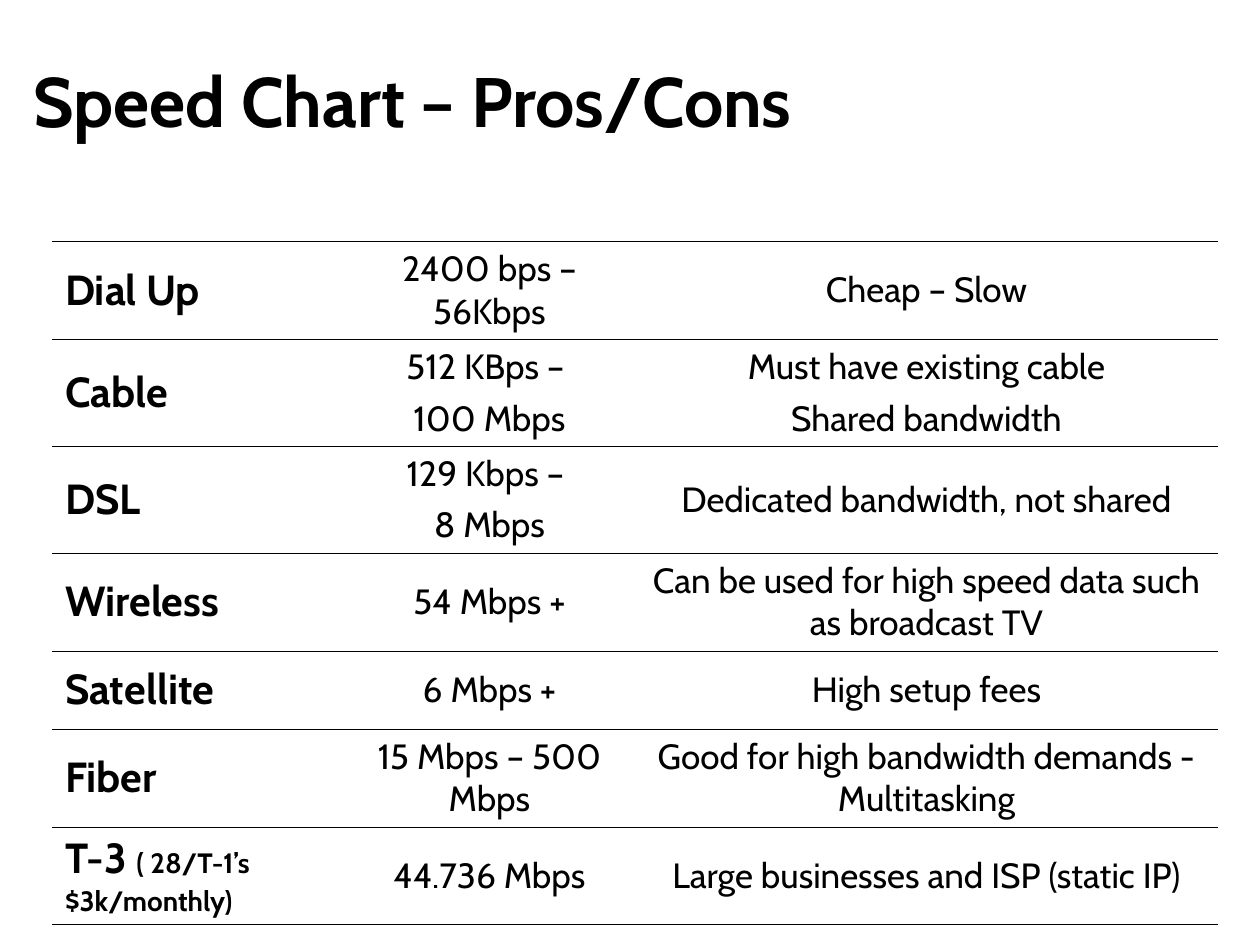
"""Build the slide that compares internet connection speeds, pros and cons."""
from lxml.etree import SubElement
from pptx import Presentation
from pptx.dml.color import RGBColor
from pptx.enum.text import MSO_ANCHOR, PP_ALIGN
from pptx.oxml import parse_xml
from pptx.oxml.ns import nsdecls, qn
from pptx.util import Pt

BLACK = RGBColor(0, 0, 0)
WHITE = RGBColor(255, 255, 255)
FONT = "Cabin"
RULE_WIDTH = Pt(0.23)

CONNECTIONS = [
    ("Dial Up", "2400 bps – 56Kbps", "Cheap – Slow"),
    ("Cable", "512 KBps – \n100 Mbps", "Must have existing cable\nShared bandwidth"),
    ("DSL", "129 Kbps – \n8 Mbps", "Dedicated bandwidth, not shared"),
    ("Wireless", "54 Mbps +", "Can be used for high speed data such as broadcast TV"),
    ("Satellite", "6 Mbps +", "High setup fees"),
    ("Fiber", "15 Mbps – 500 Mbps", "Good for high bandwidth demands - Multitasking"),
    ("T-3 |( 28/T-1’s $3k/monthly)", "44.736 Mbps", "Large businesses and ISP (static IP)"),
]
ROW_HEIGHTS = [55.8, 60.8, 60.8, 55.8, 44.6, 55.8, 55.8]
COLUMN_WIDTHS = [166.5, 166.5, 333]
COLUMN_FORMATS = [
    ({"bold": True}, (24, 16), PP_ALIGN.LEFT),
    ({"bold": False}, (20,), PP_ALIGN.CENTER),
    ({"bold": False}, (20,), PP_ALIGN.CENTER),
]


def add_run(paragraph, text, size, **formats):
    run = paragraph.add_run()
    run.text = text
    for name, value in {"name": FONT, "size": Pt(size), **formats}.items():
        setattr(run.font, name, value)
    run.font.color.rgb = BLACK


def style_cell(cell):
    cell.vertical_anchor = MSO_ANCHOR.MIDDLE
    cell.margin_left = cell.margin_right = Pt(7.2)
    cell.margin_top = cell.margin_bottom = Pt(3.6)
    cell.fill.solid()
    cell.fill.fore_color.rgb = WHITE
    properties = cell._tc.get_or_add_tcPr()
    SubElement(properties.find(".//" + qn("a:srgbClr")), qn("a:alpha"), val="50000")
    rule = f'<a:solidFill><a:srgbClr val="{BLACK}"/></a:solidFill>'
    edges = {"lnL": "<a:noFill/>", "lnR": "<a:noFill/>", "lnT": rule, "lnB": rule}
    for position, (edge, paint) in enumerate(edges.items()):
        border = f'<a:{edge} {nsdecls("a")} w="{RULE_WIDTH}">{paint}</a:{edge}>'
        properties.insert(position, parse_xml(border))


presentation = Presentation()
presentation.slide_width, presentation.slide_height = Pt(720), Pt(540)
slide = presentation.slides.add_slide(presentation.slide_layouts[5])

title = slide.shapes.title
title.left, title.top, title.width, title.height = Pt(12), Pt(12), Pt(648), Pt(90)
title.text_frame.vertical_anchor = MSO_ANCHOR.MIDDLE
heading = title.text_frame.paragraphs[0]
heading.alignment = PP_ALIGN.LEFT
add_run(heading, "Speed Chart – Pros/Cons", 40, bold=True)

speeds = slide.shapes.add_table(
    len(CONNECTIONS), len(COLUMN_WIDTHS), Pt(30), Pt(138),
    Pt(sum(COLUMN_WIDTHS)), Pt(sum(ROW_HEIGHTS)),
).table
speeds.first_row = speeds.horz_banding = False
for column, width in zip(speeds.columns, COLUMN_WIDTHS):
    column.width = Pt(width)

for row, height, connection in zip(speeds.rows, ROW_HEIGHTS, CONNECTIONS):
    row.height = Pt(height)
    for cell, content, (formats, sizes, alignment) in zip(row.cells, connection, COLUMN_FORMATS):
        style_cell(cell)
        for index, line in enumerate(content.split("\n")):
            paragraph = cell.text_frame.add_paragraph() if index else cell.text_frame.paragraphs[0]
            paragraph.alignment = alignment
            paragraph.space_before = Pt(5 if index else 0)
            for text, size in zip(line.split("|"), sizes):
                add_run(paragraph, text, size, **formats)

presentation.save("out.pptx")
